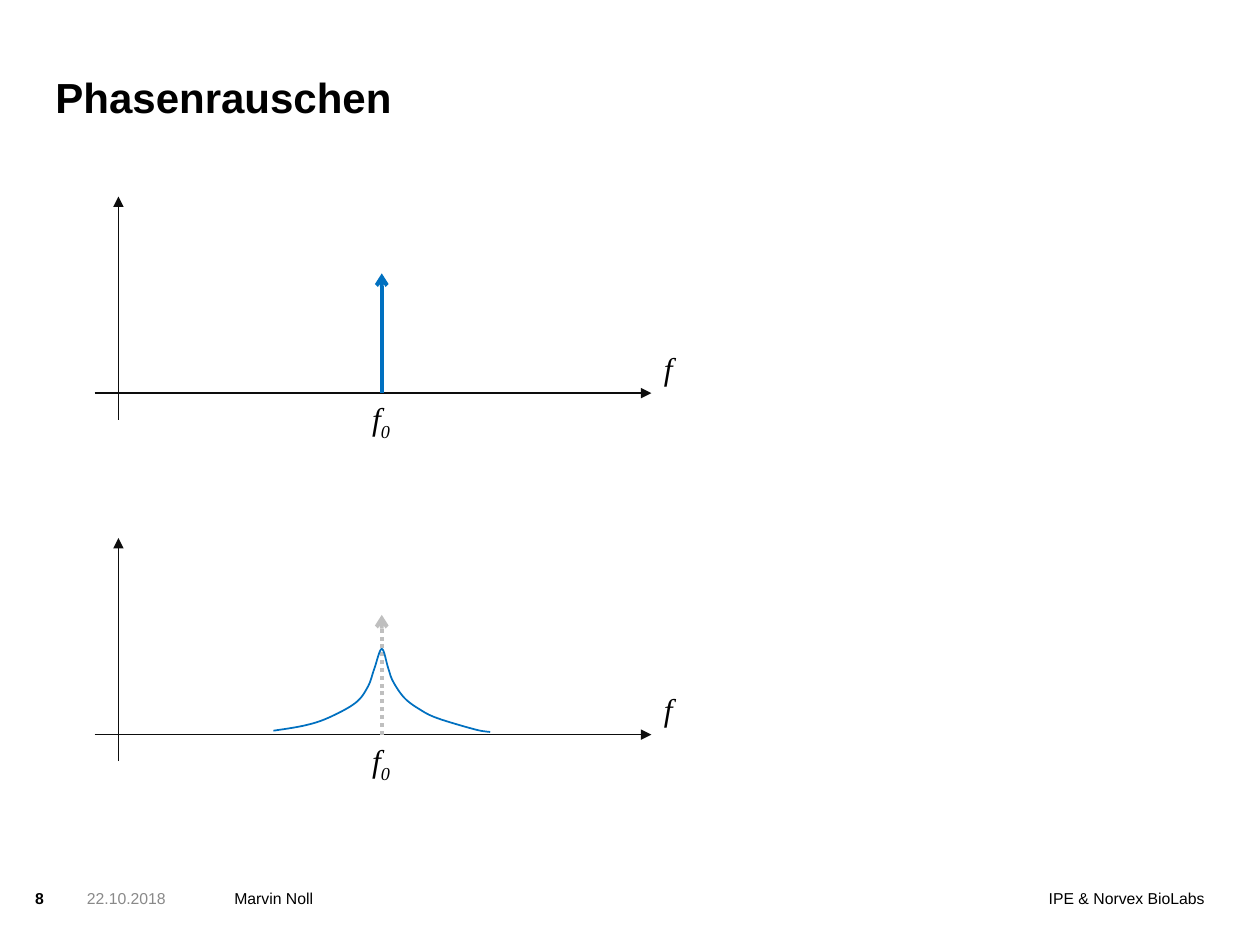
from lxml import etree
from pptx import Presentation
from pptx import util as u
from pptx.dml import color
from pptx.enum import dml, shapes, text
from pptx.oxml import ns

Inches = u.Inches
COLORS = {"black": "000000", "gray": "898989", "axis": "0D0D0D",
          "signal": "0070C0", "ghost": "BFBFBF"}
FOOTER = {"name": "Arial", "size": u.Pt(9)}
SYMBOL = {"name": "Times New Roman", "size": u.Pt(18), "italic": True}
ALIGN = text.PP_ALIGN
PLOT_SIZE = (4.42, 1.77)
AXIS_DEPTH = 1.56
CARRIER = 2.28
# Offset from the left end of the frequency axis, height above it
NOISE = [(1.42, 0.03), (1.66, 0.07), (1.85, 0.13), (2.07, 0.25), (2.17, 0.38),
         (2.22, 0.52), (2.28, 0.68), (2.33, 0.53), (2.37, 0.42), (2.46, 0.29),
         (2.58, 0.2), (2.72, 0.13), (3.02, 0.04), (3.14, 0.02)]


def rgb(name):
    return color.RGBColor.from_string(COLORS[name])


def format_font(font, style, tint="black"):
    for key, value in style.items():
        setattr(font, key, value)
    font.color.rgb = rgb(tint)


def add_text(page, box, spans, style, tint="black", align=ALIGN.LEFT, inset=(0, 0)):
    """Place one line of text; every span after the first is a subscript."""
    frame = page.shapes.add_textbox(*map(Inches, box)).text_frame
    frame.word_wrap = True
    frame.margin_left = frame.margin_right = Inches(inset[0])
    frame.margin_top = frame.margin_bottom = Inches(inset[1])
    para = frame.paragraphs[0]
    para.alignment = align
    for index, words in enumerate(spans):
        span = para.add_run()
        span.text = words
        format_font(span.font, style, tint)
        if index:
            span.font._element.set("baseline", "-25000")


def add_arrow(page, start, end, tint, width, head, dash=None):
    ends = map(Inches, (*start, *end))
    arrow = page.shapes.add_connector(shapes.MSO_CONNECTOR.STRAIGHT, *ends)
    arrow.line.color.rgb = rgb(tint)
    arrow.line.width = u.Pt(width)
    if dash:
        arrow.line.dash_style = dash
    etree.SubElement(arrow.line._get_or_add_ln(), ns.qn("a:tailEnd"), type=head)
    etree.SubElement(arrow._element.spPr, ns.qn("a:effectLst"))


def smooth(knots, steps=8):
    """Return points on a Catmull-Rom curve through the knots."""
    padded = [knots[0], *knots, knots[-1]]
    points = [knots[0]]
    for a, b, c, d in zip(padded, padded[1:], padded[2:], padded[3:]):
        for step in range(1, steps + 1):
            t = step / steps
            points.append(tuple(
                (2 * q + (r - p) * t + (2 * p - 5 * q + 4 * r - s) * t ** 2
                 + (3 * q - p - 3 * r + s) * t ** 3) / 2
                for p, q, r, s in zip(a, b, c, d)))
    return points


def add_noise(page, left, axis):
    points = [(Inches(left + x), Inches(axis - y)) for x, y in smooth(NOISE)]
    builder = page.shapes.build_freeform(*points[0])
    builder.add_line_segments(points[1:], close=False)
    curve = builder.convert_to_shape()
    curve.shadow.inherit = False
    curve.fill.background()
    curve.line.color.rgb = rgb("signal")
    curve.line.width = u.Pt(1)


def add_spectrum(page, left, top, noisy):
    width, height = PLOT_SIZE
    axis, carrier = top + AXIS_DEPTH, left + CARRIER
    add_arrow(page, (left + 0.19, top + height), (left + 0.19, top), "axis", 1, "triangle")
    add_arrow(page, (left, axis), (left + width, axis), "axis", 1, "triangle")
    add_text(page, (left + width, axis - 0.4, 0.53, 0.4), ["f"], SYMBOL, inset=(0.1, 0.05))
    add_arrow(page, (carrier, axis), (carrier, axis - 0.95),
              "ghost" if noisy else "signal", 2.25, "arrow",
              dml.MSO_LINE.ROUND_DOT if noisy else None)
    add_text(page, (carrier - 0.27, axis, 0.53, 0.4), ["f", "0"], SYMBOL,
             align=ALIGN.CENTER, inset=(0.1, 0.05))
    if noisy:
        add_noise(page, left, axis)


def add_title(page, box, words):
    title = page.shapes.title
    title.left, title.top, title.width, title.height = map(Inches, box)
    frame = title.text_frame
    frame.text = words
    layout = {"margin_left": 0, "margin_right": 0, "margin_top": 0, "margin_bottom": 0,
              "vertical_anchor": text.MSO_ANCHOR.BOTTOM, "word_wrap": True}
    for key, value in layout.items():
        setattr(frame, key, value)
    para = frame.paragraphs[0]
    para.alignment = ALIGN.LEFT
    para.line_spacing = 0.9
    format_font(para.runs[0].font, {"name": "Arial", "size": u.Pt(24), "bold": True})


def add_footer(page, top):
    add_text(page, (6.56, top, 3, 0.4), ["IPE & Norvex BioLabs"], FOOTER, align=ALIGN.RIGHT)
    add_text(page, (1.86, top, 4.63, 0.4), ["Marvin Noll"], FOOTER)
    add_text(page, (0.69, top, 1.12, 0.4), ["22.10.2018"], FOOTER, "gray")
    add_text(page, (0.28, top, 0.36, 0.32), ["8"], {**FOOTER, "bold": True})


def main():
    deck = Presentation()
    deck.slide_width, deck.slide_height = Inches(10), Inches(7.5)
    page = deck.slides.add_slide(deck.slide_layouts[5])
    add_footer(page, 7.05)
    add_title(page, (0.44, 0.43, 7.51, 0.54), "Phasenrauschen")
    add_spectrum(page, 0.75, 1.56, noisy=False)
    add_spectrum(page, 0.75, 4.27, noisy=True)
    deck.save("out.pptx")


if __name__ == "__main__":
    main()
